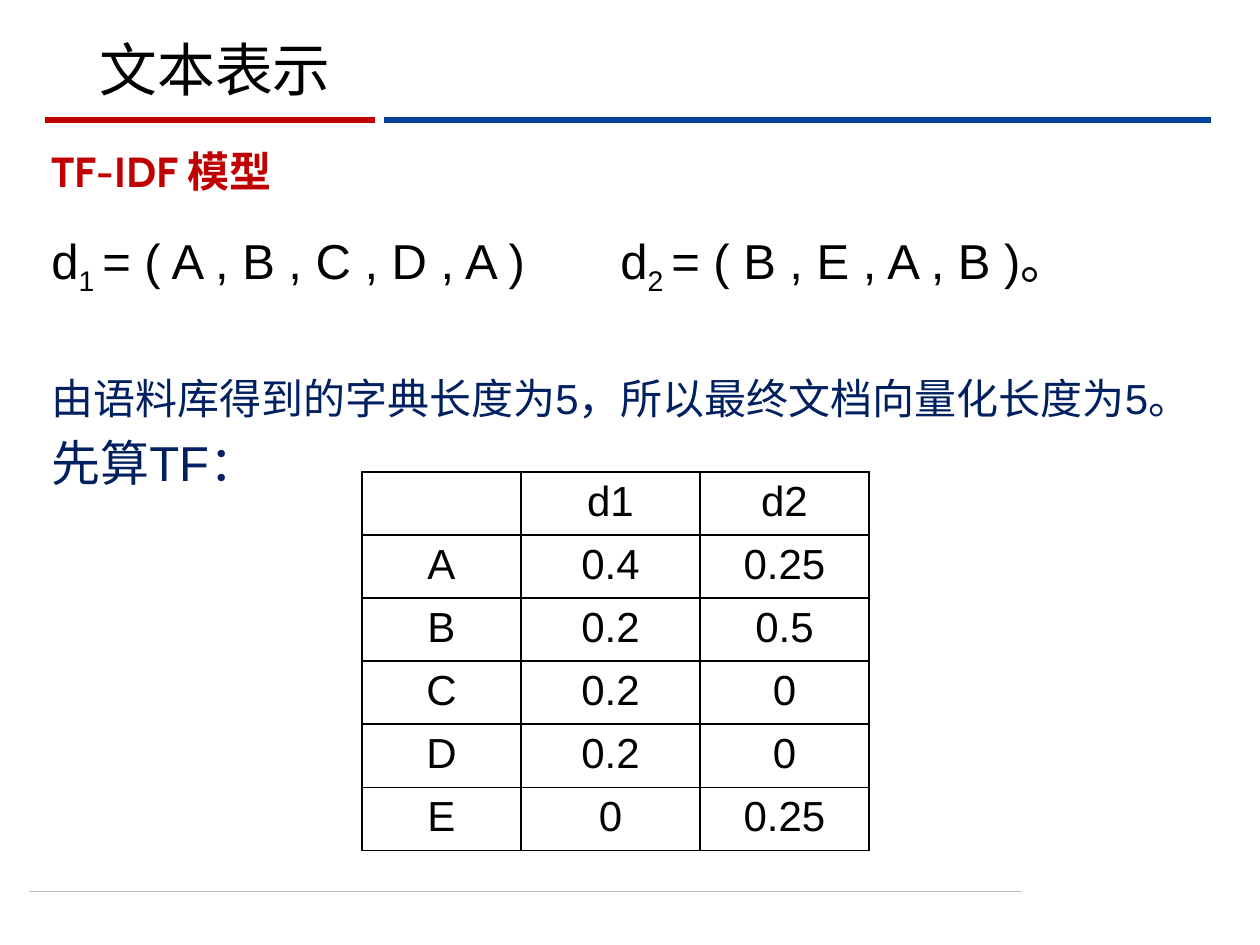
from lxml.etree import SubElement
from pptx import Presentation
from pptx.dml.color import RGBColor
from pptx.enum.shapes import MSO_CONNECTOR
from pptx.enum.text import MSO_ANCHOR, MSO_AUTO_SIZE, PP_ALIGN
from pptx.oxml.ns import qn
from pptx.util import Pt

PX = 914400 // 126
COLORS = {"black": "000000", "red": "C00000", "blue": "004299",
          "navy": "002060", "gray": "BFBFBF"}


def write(para, text, size=24, font="Arial", color="black", bold=False, baseline=0):
    span = para.add_run()
    span.text = text
    span.font.size = Pt(size)
    span.font.name = font
    span.font.bold = bold
    span.font.color.rgb = RGBColor.from_string(COLORS[color])
    if baseline:
        span._r.get_or_add_rPr().set("baseline", str(baseline * 1000))


def add_box(page, left, top, width, height):
    box = page.shapes.add_textbox(left * PX, top * PX, width * PX, height * PX)
    box.text_frame.word_wrap = True
    return box.text_frame


deck = Presentation()
deck.slide_width, deck.slide_height = 1260 * PX, 945 * PX
page = deck.slides.add_slide(deck.slide_layouts[5])

# Footer rule and the two-colour title rule
for left, right, y, color, weight in [(29, 1022, 891, "gray", 0.5),
                                      (384, 1211, 120, "blue", 3),
                                      (45, 375, 120, "red", 3)]:
    rule = page.shapes.add_connector(MSO_CONNECTOR.STRAIGHT, left * PX, y * PX,
                                     right * PX, y * PX)
    rule.line.color.rgb = RGBColor.from_string(COLORS[color])
    rule.line.width = Pt(weight)
    SubElement(rule._element.spPr, qn("a:effectLst"))

# Title
title = page.shapes.title
title.left, title.top, title.width, title.height = 87 * PX, 28 * PX, 1086 * PX, 82 * PX
frame = title.text_frame
frame.auto_size = MSO_AUTO_SIZE.NONE
frame.vertical_anchor = MSO_ANCHOR.BOTTOM
para = frame.paragraphs[0]
para.alignment = PP_ALIGN.LEFT
para.line_spacing = 0.9
write(para, "文本表示", size=33, font="Cabin")

# Section heading
para = add_box(page, 39, 145, 1221, 59).paragraphs[0]
para.line_spacing = 0.9
write(para, "TF-IDF 模型", font="Cabin", color="red", bold=True)

# Document vectors, the second one at a tab stop
frame = add_box(page, 39, 224, 1196, 276)
para = frame.paragraphs[0]
tabs = SubElement(para._p.get_or_add_pPr(), qn("a:tabLst"))
SubElement(tabs, qn("a:tab"), pos=str(569 * PX), algn="l")
for text, baseline in [("d", 0), ("1 ", -25), ("= ( A , B , C , D , A )\td", 0),
                       ("2 ", -25), ("= ( B , E , A , B )。", 0)]:
    write(para, text, size=28, baseline=baseline)

# Explanation
for text, size, gap in [("由语料库得到的字典长度为5，所以最终文档向量化长度为5。", 24, 43),
                        ("先算TF：", 28, 5.6)]:
    para = frame.add_paragraph()
    para.space_before = Pt(gap)
    write(para, text, size=size, color="navy")

# Term frequency table
rows = [("", "d1", "d2"),
        ("A", "0.4", "0.25"),
        ("B", "0.2", "0.5"),
        ("C", "0.2", "0"),
        ("D", "0.2", "0"),
        ("E", "0", "0.25")]
widths = [159, 179, 169]
table = page.shapes.add_table(len(rows), len(widths), 362 * PX, 472 * PX,
                              sum(widths) * PX, 63 * len(rows) * PX).table
table.first_row = table.horz_banding = False
for column, width in zip(table.columns, widths):
    column.width = width * PX
for r, values in enumerate(rows):
    table.rows[r].height = 63 * PX
    for c, value in enumerate(values):
        cell = table.cell(r, c)
        properties = cell._tc.get_or_add_tcPr()
        for side in ("lnL", "lnR", "lnT", "lnB"):
            border = SubElement(properties, qn(f"a:{side}"), w=str(Pt(1)))
            fill = SubElement(border, qn("a:solidFill"))
            SubElement(fill, qn("a:srgbClr"), val=COLORS["black"])
        cell.fill.background()
        if value:
            para = cell.text_frame.paragraphs[0]
            para.alignment = PP_ALIGN.CENTER
            write(para, value)

deck.save("out.pptx")
